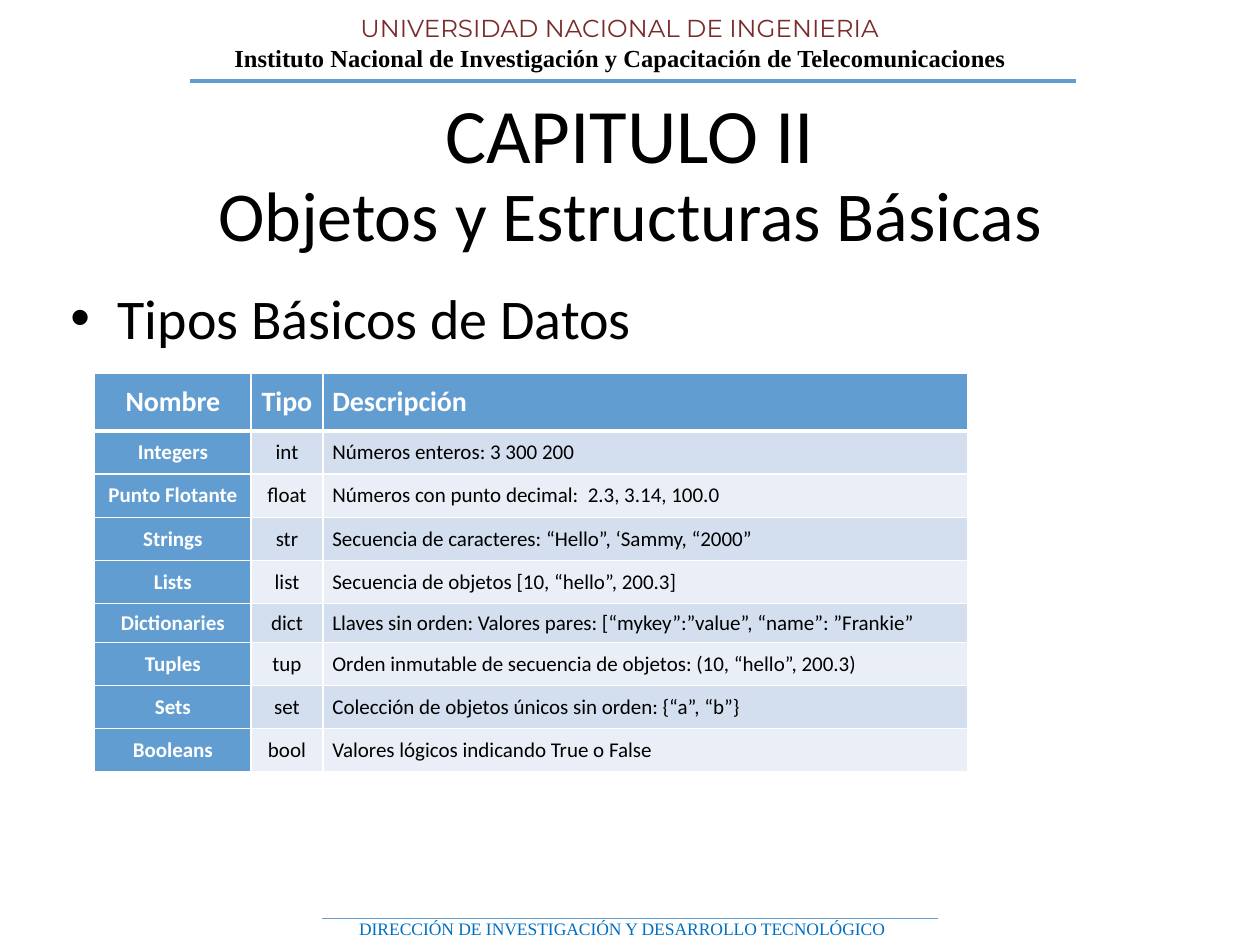
from dataclasses import dataclass

from lxml import etree
from pptx import Presentation
from pptx import util as u
from pptx.dml.color import RGBColor
from pptx.enum import shapes, text
from pptx.oxml.ns import qn

COLORS = {
    "black": "000000",
    "white": "FFFFFF",
    "maroon": "792D2B",
    "accent": "629DD1",
    "footer": "0070C0",
    "band_dark": "D3DFEE",
    "band_light": "EAEFF7",
}
CENTER = text.PP_ALIGN.CENTER
LEFT = text.PP_ALIGN.LEFT
JUSTIFY = text.PP_ALIGN.JUSTIFY


@dataclass
class Style:
    size: float
    color: str = "black"
    font: str = "Calibri"
    bold: bool = False
    align: text.PP_ALIGN = CENTER


@dataclass
class Label:
    words: str
    left: float
    top: float
    width: float
    height: float
    style: Style
    anchor: text.MSO_ANCHOR = text.MSO_ANCHOR.TOP


@dataclass
class Rule:
    left: float
    right: float
    y: float
    weight: float


def rgb(name: str) -> RGBColor:
    return RGBColor.from_string(COLORS[name])


def write(paragraph, words: str, style: Style) -> None:
    paragraph.alignment = style.align
    run = paragraph.add_run()
    run.text = words
    run.font.size = u.Pt(style.size)
    run.font.name = style.font
    run.font.bold = style.bold
    run.font.color.rgb = rgb(style.color)


def fill_label(shape, label: Label) -> None:
    shape.left, shape.top = u.Cm(label.left), u.Cm(label.top)
    shape.width, shape.height = u.Cm(label.width), u.Cm(label.height)
    frame = shape.text_frame
    frame.word_wrap = True
    frame.auto_size = text.MSO_AUTO_SIZE.NONE
    frame.vertical_anchor = label.anchor
    write(frame.paragraphs[0], label.words, label.style)


def add_label(slide, label: Label):
    shape = slide.shapes.add_textbox(0, 0, u.Cm(1), u.Cm(1))
    fill_label(shape, label)
    return shape


def add_rule(slide, rule: Rule) -> None:
    line = slide.shapes.add_connector(
        shapes.MSO_CONNECTOR.STRAIGHT,
        u.Cm(rule.left), u.Cm(rule.y), u.Cm(rule.right), u.Cm(rule.y))
    line.line.color.rgb = rgb("accent")
    line.line.width = u.Pt(rule.weight)
    etree.SubElement(line._element.spPr, qn("a:effectLst"))


def add_bullet(paragraph, indent: float) -> None:
    properties = paragraph._p.get_or_add_pPr()
    properties.set("marL", str(u.Cm(indent)))
    properties.set("indent", str(-u.Cm(indent)))
    etree.SubElement(properties, qn("a:buFont"), typeface="Arial")
    etree.SubElement(properties, qn("a:buChar"), char="•")


def set_borders(cell, bottom: float) -> None:
    properties = cell._tc.get_or_add_tcPr()
    for side, weight in (("L", 1), ("R", 1), ("T", 1), ("B", bottom)):
        line = etree.SubElement(properties, qn(f"a:ln{side}"), w=str(u.Pt(weight)))
        fill = etree.SubElement(line, qn("a:solidFill"))
        etree.SubElement(fill, qn("a:srgbClr"), val=COLORS["white"])


def fill_cell(cell, words: str, style: Style, fill: str, bottom: float) -> None:
    set_borders(cell, bottom)
    cell.fill.solid()
    cell.fill.fore_color.rgb = rgb(fill)
    cell.margin_left = cell.margin_right = u.Cm(0.19)
    cell.margin_top = cell.margin_bottom = 0
    cell.vertical_anchor = text.MSO_ANCHOR.MIDDLE
    write(cell.text_frame.paragraphs[0], words, style)


# Slide content
HEADER_FOOTER = [
    Label("Instituto Nacional de Investigación y Capacitación de Telecomunicaciones",
          0.2, 0.74, 24.61, 0.86, Style(14, font="Times New Roman", bold=True)),
    Label("UNIVERSIDAD NACIONAL DE INGENIERIA",
          0.1, 0.13, 24.79, 0.86, Style(14, "maroon", "Montserrat")),
    Label("DIRECCIÓN DE INVESTIGACIÓN Y DESARROLLO TECNOLÓGICO",
          6.99, 18.39, 11.3, 0.69, Style(10, "footer", "Times New Roman", align=LEFT)),
]
RULES = [Rule(3.84, 21.69, 1.63, 2.25), Rule(6.5, 18.9, 18.52, 0.75)]
CHAPTER = Label("CAPITULO II", 1.27, 1.7, 22.86, 1.96, Style(44), text.MSO_ANCHOR.MIDDLE)
TITLE = Label("Objetos y Estructuras Básicas", 1.27, 3.33, 22.86, 1.96,
              Style(40), text.MSO_ANCHOR.MIDDLE)
TOPIC = Label("Tipos Básicos de Datos", 1.17, 5.59, 22.86, 12.57, Style(32, align=LEFT))

TYPE_ROWS = [
    ("Nombre", "Tipo", "Descripción"),
    ("Integers", "int", "Números enteros: 3 300 200"),
    ("Punto Flotante", "float", "Números con punto decimal:  2.3, 3.14, 100.0"),
    ("Strings", "str", "Secuencia de caracteres: “Hello”, ‘Sammy, “2000”"),
    ("Lists", "list", "Secuencia de objetos [10, “hello”, 200.3]"),
    ("Dictionaries", "dict",
     "Llaves sin orden: Valores pares: [“mykey”:”value”, “name”: ”Frankie”"),
    ("Tuples", "tup", "Orden inmutable de secuencia de objetos: (10, “hello”, 200.3)"),
    ("Sets", "set", "Colección de objetos únicos sin orden: {“a”, “b”}"),
    ("Booleans", "bool", "Valores lógicos indicando True o False"),
]
COLUMN_WIDTHS = [3.15, 1.45, 13.0]
ROW_HEIGHTS = [1.16] + [0.87] * 4 + [0.78] + [0.87] * 3


def add_type_table(slide) -> None:
    table = slide.shapes.add_table(
        len(TYPE_ROWS), len(COLUMN_WIDTHS), u.Cm(1.91), u.Cm(7.53),
        u.Cm(sum(COLUMN_WIDTHS)), u.Cm(sum(ROW_HEIGHTS))).table
    for column, width in zip(table.columns, COLUMN_WIDTHS):
        column.width = u.Cm(width)
    for row, height in zip(table.rows, ROW_HEIGHTS):
        row.height = u.Cm(height)
    for i, words in enumerate(TYPE_ROWS):
        band = "band_dark" if i % 2 else "band_light"
        for j, word in enumerate(words):
            heading = i == 0 or j == 0
            align = CENTER if j < 2 else (JUSTIFY if i else LEFT)
            style = Style(12 if i else 16, "white" if heading else "black",
                          bold=heading, align=align)
            fill_cell(table.cell(i, j), word, style,
                      "accent" if heading else band, 1 if i else 3)


def main() -> None:
    presentation = Presentation()
    presentation.slide_width, presentation.slide_height = u.Cm(25.4), u.Cm(19.05)
    slide = presentation.slides.add_slide(presentation.slide_layouts[5])

    # Institutional header and footer
    for label in HEADER_FOOTER:
        add_label(slide, label)
    for rule in RULES:
        add_rule(slide, rule)

    # Chapter, title and topic
    add_label(slide, CHAPTER)
    fill_label(slide.shapes.title, TITLE)
    topic = add_label(slide, TOPIC)
    add_bullet(topic.text_frame.paragraphs[0], 0.95)

    # Table of data types
    add_type_table(slide)
    presentation.save("out.pptx")


if __name__ == "__main__":
    main()
